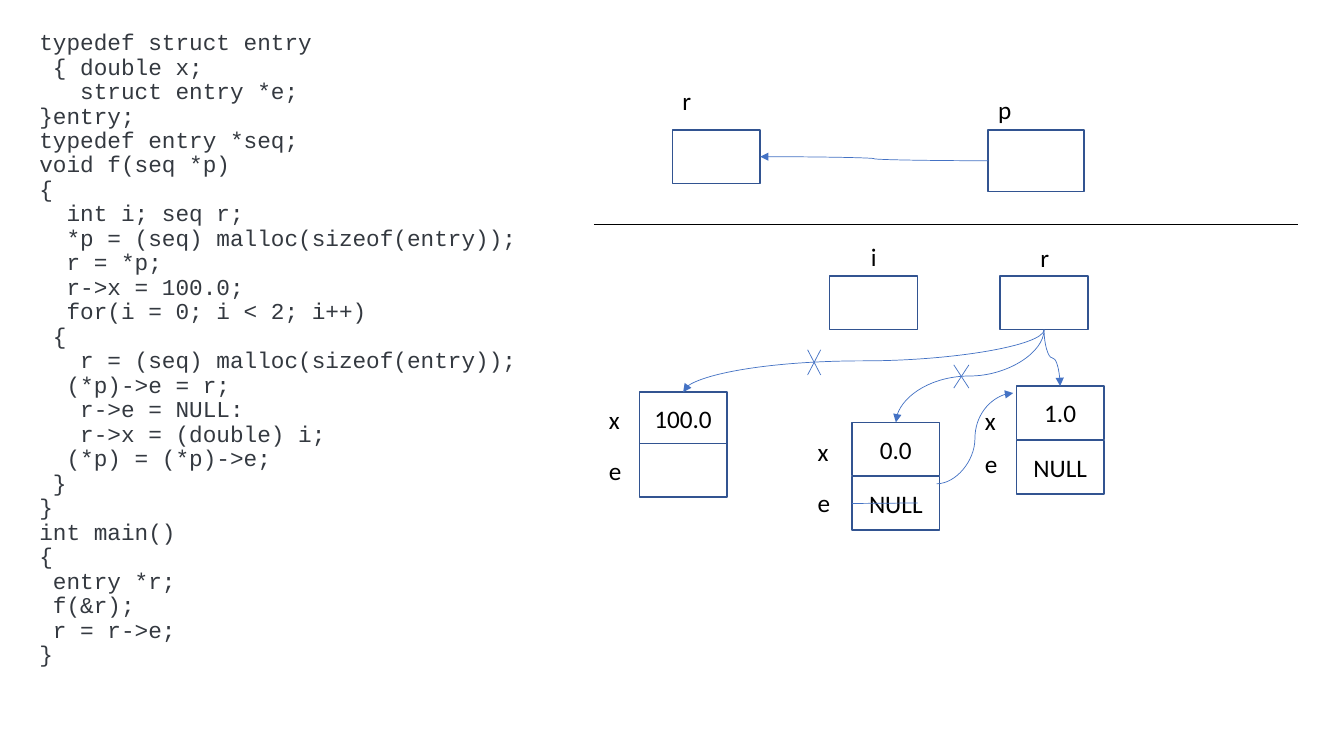
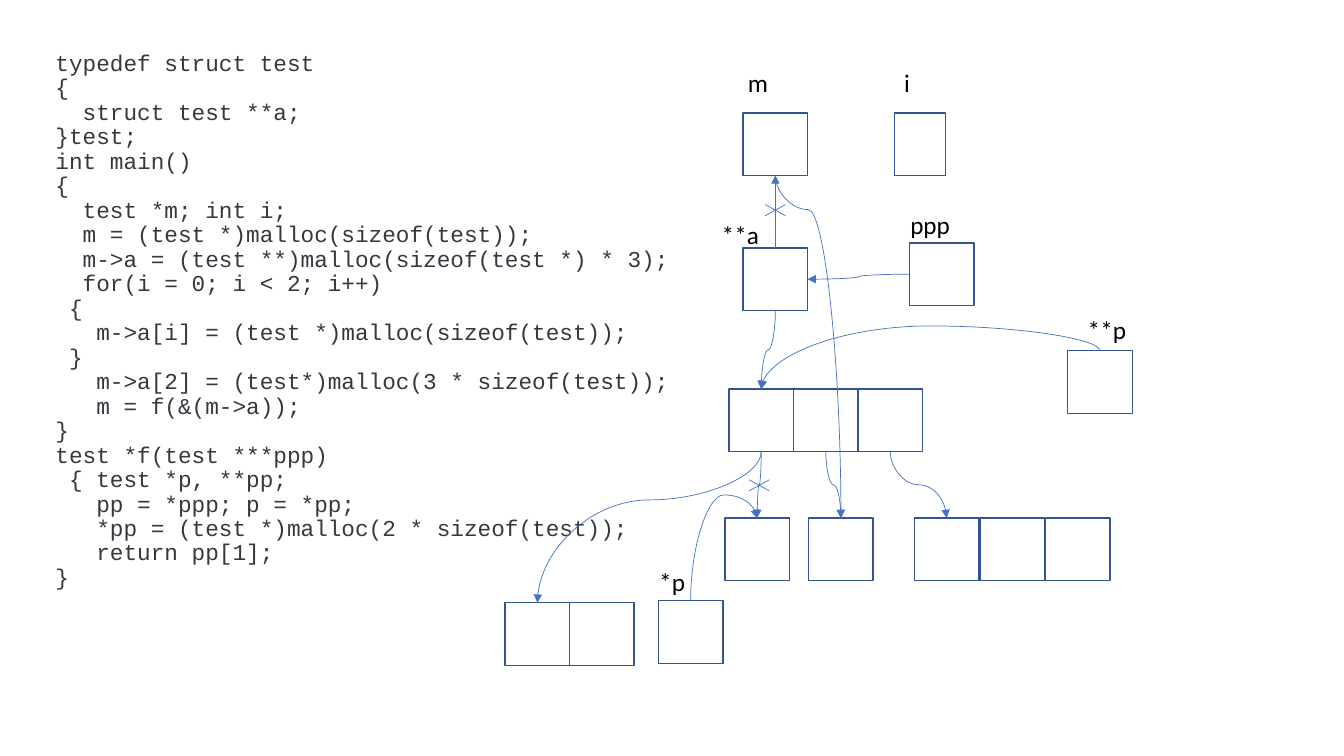
from dataclasses import dataclass
from lxml.etree import SubElement
from pptx import Presentation
from pptx.dml.color import RGBColor
from pptx.enum.shapes import MSO_CONNECTOR, MSO_SHAPE
from pptx.enum.text import MSO_ANCHOR, MSO_AUTO_SIZE, PP_ALIGN
from pptx.oxml.ns import qn
from pptx.util import Inches, Pt


@dataclass(frozen=True)
class Theme:
    code: str = "343940"
    text: str = "000000"
    paper: str = "FFFFFF"
    edge: str = "325491"
    wire: str = "4472C4"
    mono: str = "Courier New"
    sans: str = "Calibri"
    small: float = 16.2
    large: float = 18
    thin: float = 0.5
    thick: float = 1


@dataclass(frozen=True)
class Box:
    x: float
    y: float
    w: float
    h: float

    def sub(self, x, y, w=0, h=0):
        return Box(self.x + x, self.y + y, w, h)

    def dims(self):
        return [Inches(n) for n in (self.x, self.y, self.w, self.h)]


THEME = Theme()
TOP, LEFT, BASE, RIGHT = range(4)

LIST = """typedef struct entry
 { double x;
   struct entry *e;
}entry;
typedef entry *seq;
void f(seq *p)
{
  int i; seq r;
  *p = (seq) malloc(sizeof(entry));
  r = *p;
  r->x = 100.0;
  for(i = 0; i < 2; i++)
 {
   r = (seq) malloc(sizeof(entry));
  (*p)->e = r;
   r->e = NULL:
   r->x = (double) i;
  (*p) = (*p)->e;
 }
}
int main()
{
 entry *r;
 f(&r);
 r = r->e;
}"""

TEST = """typedef struct test
{
  struct test **a;
}test;
int main()
{
  test *m; int i;
  m = (test *)malloc(sizeof(test));
  m->a = (test **)malloc(sizeof(test *) * 3);
  for(i = 0; i < 2; i++)
 {
   m->a[i] = (test *)malloc(sizeof(test));
 }
   m->a[2] = (test*)malloc(3 * sizeof(test));
   m = f(&(m->a));
}
test *f(test ***ppp)
 { test *p, **pp;
   pp = *ppp; p = *pp;
   *pp = (test *)malloc(2 * sizeof(test));
   return pp[1];
}"""


def write(para, text, face=THEME.sans, size=THEME.large, tint=THEME.text):
    run = para.add_run()
    run.text = text
    run.font.name = face
    run.font.size = Pt(size)
    run.font.color.rgb = RGBColor.from_string(tint)


def code(slide, box, text):
    title = slide.shapes.title
    title.left, title.top, title.width, title.height = box.dims()
    frame = title.text_frame
    frame.word_wrap = True
    frame.auto_size = MSO_AUTO_SIZE.NONE
    frame.vertical_anchor = MSO_ANCHOR.MIDDLE
    para = frame.paragraphs[0]
    para.alignment = PP_ALIGN.LEFT
    para.line_spacing = 0.9
    for row, line in enumerate(text.split("\n")):
        if row:
            para.add_line_break()
        write(para, line, THEME.mono, THEME.small, THEME.code)


def label(slide, box, text):
    note = slide.shapes.add_textbox(*box.dims())
    note.text_frame.word_wrap = True
    note.text_frame.auto_size = MSO_AUTO_SIZE.SHAPE_TO_FIT_TEXT
    write(note.text_frame.paragraphs[0], text)


def cell(slide, box, text=""):
    rect = slide.shapes.add_shape(MSO_SHAPE.RECTANGLE, *box.dims())
    rect.shadow.inherit = False
    rect.fill.solid()
    rect.fill.fore_color.rgb = RGBColor.from_string(THEME.paper)
    rect.line.color.rgb = RGBColor.from_string(THEME.edge)
    rect.line.width = Pt(THEME.thick)
    if text:
        frame = rect.text_frame
        frame.vertical_anchor = MSO_ANCHOR.MIDDLE
        frame.paragraphs[0].alignment = PP_ALIGN.CENTER
        write(frame.paragraphs[0], text)
    return rect


def row(slide, box, count, step):
    return [cell(slide, box.sub(i * step, 0, box.w, box.h)) for i in range(count)]


def wire(slide, box, kind=MSO_CONNECTOR.STRAIGHT, tint=THEME.wire, head=False):
    ends = (box.x, box.y, box.x + box.w, box.y + box.h)
    link = slide.shapes.add_connector(kind, *[Inches(n) for n in ends])
    link.line.color.rgb = RGBColor.from_string(tint)
    link.line.width = Pt(THEME.thin)
    if head:
        SubElement(link.line._get_or_add_ln(), qn("a:tailEnd"), type="triangle")
    SubElement(link._element.spPr, qn("a:effectLst"))
    return link


def turn(link, bend):
    wide = link.end_x - link.begin_x
    tall = link.end_y - link.begin_y
    midx = (link.begin_x + link.end_x) // 2
    midy = (link.begin_y + link.end_y) // 2
    link.width, link.height = abs(tall), abs(wide)
    link.left = midx - link.width // 2
    link.top = midy - link.height // 2
    inner = 0 <= bend <= 1
    angle = 90 if (wide < 0) == inner else 270
    form = link._element.spPr.find(qn("a:xfrm"))
    form.set("rot", str(angle * 60000))
    form.set("flipH", str(int(not inner or wide > 0)))
    form.set("flipV", str(int(not inner)))


def curve(slide, start, exit, end, entry, bend=0.5):
    link = wire(slide, Box(0, 0, 0, 0), MSO_CONNECTOR.CURVE, head=True)
    link.begin_connect(start, exit)
    link.end_connect(end, entry)
    if exit in (TOP, BASE):
        turn(link, bend)
    if bend != 0.5:
        guide = link._element.spPr.find(".//" + qn("a:avLst"))
        SubElement(guide, qn("a:gd"), name="adj1", fmla=f"val {round(bend * 100000)}")


def cross(slide, box):
    wire(slide, box)
    wire(slide, box.sub(box.w, 0, -box.w, box.h))


def entry(slide, box, value, next, gap, side, high, low):
    first = cell(slide, box, value)
    last = cell(slide, box.sub(0, gap, box.w, box.h), next)
    label(slide, box.sub(-side, high, 0.25, 0.4), "x")
    label(slide, box.sub(-side, low, 0.25, 0.4), "e")
    return first, last


def stack(slide, box):
    seq = cell(slide, box.sub(0.78, 0.49, 0.87, 0.53))
    arg = cell(slide, box.sub(3.91, 0.49, 0.95, 0.61))
    label(slide, box.sub(0.78, 0, 0.25, 0.4), "r")
    label(slide, box.sub(3.91, 0.09, 0.25, 0.4), "p")
    curve(slide, arg, LEFT, seq, RIGHT)
    wire(slide, box.sub(0, box.h, box.w), tint=THEME.text)


def heap(slide, box):
    wide, tall = 0.87, 0.53
    cell(slide, box.sub(2.34, 0.51, wide, tall))
    seq = cell(slide, box.sub(4.03, 0.51, wide, tall))
    label(slide, box.sub(2.65, 0.11, 0.25, 0.4), "i")
    label(slide, box.sub(4.33, 0.13, 0.25, 0.4), "r")
    nodes = [
        entry(slide, box.sub(x, y, wide, tall), *rest)
        for x, y, *rest in (
            (0.45, 1.66, "100.0", "", 0.51, 0.4, 0.07, 0.58),
            (2.56, 1.96, "0.0", "NULL", 0.54, 0.44, 0.09, 0.6),
            (4.19, 1.6, "1.0", "NULL", 0.54, 0.41, 0.14, 0.57),
        )
    ]
    for first, last in nodes:
        curve(slide, seq, BASE, first, TOP)
    cross(slide, box.sub(2.12, 1.24, 0.13, 0.25))
    cross(slide, box.sub(3.57, 1.39, 0.15, 0.23))
    strike = wire(slide, box.sub(2.56, 2.76, 0.65))
    strike.begin_connect(nodes[1][1], LEFT)
    wire(slide, box.sub(3.4, 2.57, 0.76, -0.9), MSO_CONNECTOR.CURVE, head=True)


def graph(slide, box):
    wide, tall = 0.64, 0.62
    root = cell(slide, box.sub(2.36, 0.5, wide, tall))
    cell(slide, box.sub(3.86, 0.5, 0.51, tall))
    field = cell(slide, box.sub(2.36, 1.84, wide, tall))
    outer = cell(slide, box.sub(4.01, 1.79, wide, tall))
    inner = cell(slide, box.sub(5.58, 2.86, wide, tall))
    local = cell(slide, box.sub(1.52, 5.34, wide, tall))
    slots = row(slide, box.sub(2.22, 3.24, wide, tall), 3, wide)
    one, two = row(slide, box.sub(2.18, 4.52, wide, tall), 2, 0.83)
    trio = row(slide, box.sub(4.06, 4.52, wide, tall), 3, 0.65)
    pair = row(slide, box.sub(0, 5.36, wide, tall), 2, wide)
    for x, y, text in (
        (2.31, 0, "m"),
        (3.86, 0, "i"),
        (2.05, 1.51, "**a"),
        (3.92, 1.41, "ppp"),
        (1.43, 4.95, "*p"),
        (5.68, 2.45, "**p"),
    ):
        label(slide, box.sub(x, y, wide, 0.4), text)
    for start, exit, end, side, bend in (
        (root, BASE, field, TOP, 0.5),
        (field, BASE, slots[0], TOP, 0.5),
        (slots[0], BASE, one, TOP, 0.5),
        (slots[1], BASE, two, TOP, 0.5),
        (slots[2], BASE, trio[0], TOP, 0.5),
        (outer, LEFT, field, RIGHT, 0.5),
        (inner, TOP, slots[0], TOP, -0.65),
        (local, TOP, one, TOP, 1.28),
        (slots[0], BASE, pair[0], TOP, 0.32),
        (root, BASE, two, TOP, 0.1),
    ):
        curve(slide, start, exit, end, side, bend)
    cross(slide, box.sub(2.42, 4.14, 0.2, 0.11))
    cross(slide, box.sub(2.58, 1.41, 0.2, 0.11))


def main():
    deck = Presentation()
    deck.slide_width, deck.slide_height = Inches(13.33), Inches(7.5)
    plain = deck.slide_layouts[5]

    slide = deck.slides.add_slide(plain)
    code(slide, Box(0.29, 2.74, 11.5, 1.45), LIST)
    stack(slide, Box(5.89, 0.8, 6.98, 1.43))
    heap(slide, Box(5.89, 2.23, 6.98, 3.1))

    slide = deck.slides.add_slide(plain)
    code(slide, Box(0.45, 2.46, 11.5, 1.45), TEST)
    graph(slide, Box(5.01, 0.62, 6.22, 5.98))

    deck.save("out.pptx")


if __name__ == "__main__":
    main()
